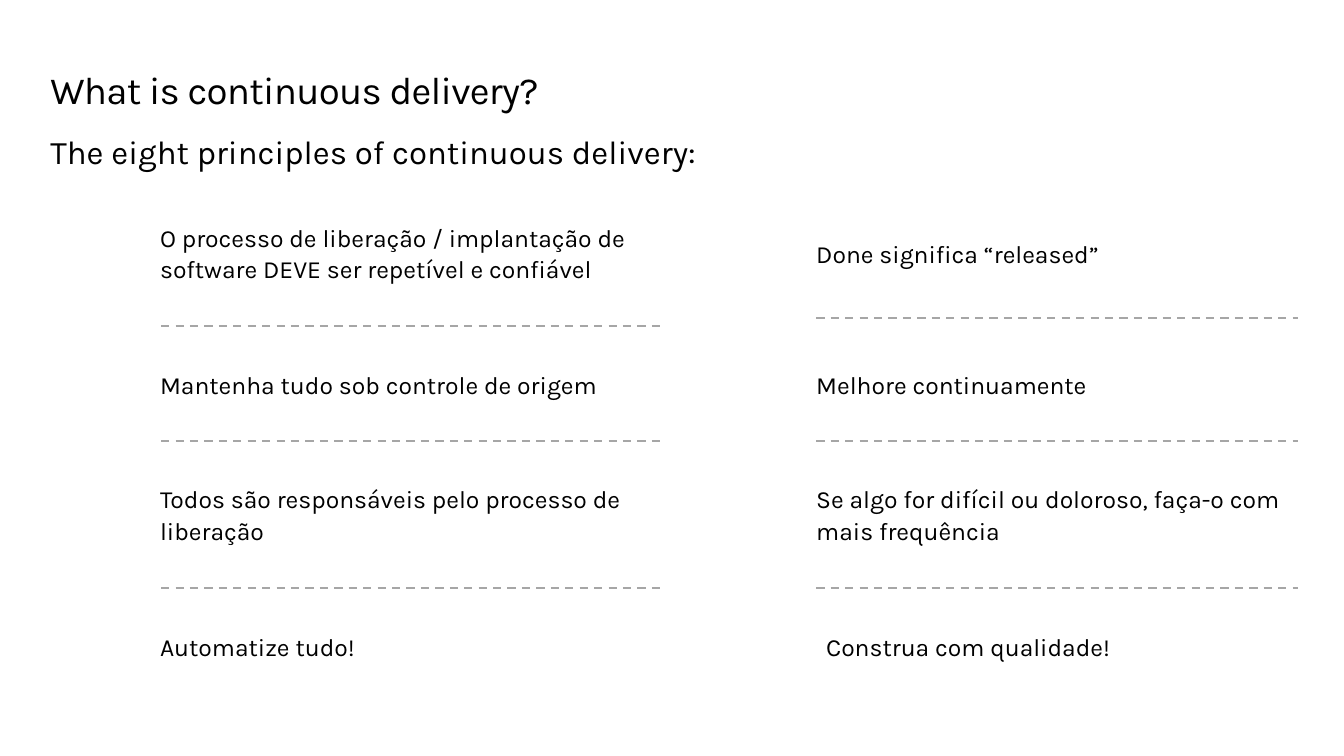
import dataclasses

import lxml.etree
import pptx
import pptx.dml.color
import pptx.enum.dml
import pptx.enum.shapes
import pptx.enum.text
import pptx.oxml.ns
import pptx.util

Inches = pptx.util.Inches
Pt = pptx.util.Pt
Anchor = pptx.enum.text.MSO_ANCHOR


@dataclasses.dataclass(frozen=True)
class Theme:
    font: str = "Karla"
    ink: str = "000000"
    rule: str = "A6A6A6"
    title_size: int = 28
    subtitle_size: int = 24
    body_size: int = 18
    rule_width: float = 1.5
    body_spacing: float = 1.07


class SlideBuilder:
    def __init__(self, slide, theme):
        self.slide = slide
        self.theme = theme

    def text(self, words, left, top, width, height, size,
             line_spacing=None, anchor=Anchor.MIDDLE, tracking=None):
        box = self.slide.shapes.add_textbox(
            Inches(left), Inches(top), Inches(width), Inches(height))
        frame = box.text_frame
        frame.word_wrap = True
        frame.vertical_anchor = anchor
        frame.margin_left = frame.margin_right = 0
        frame.margin_top = frame.margin_bottom = 0
        frame.text = words
        para = frame.paragraphs[0]
        if line_spacing is not None:
            para.line_spacing = line_spacing
        span = para.runs[0]
        span.font.name = self.theme.font
        span.font.size = Pt(size)
        span.font.color.rgb = pptx.dml.color.RGBColor.from_string(self.theme.ink)
        if tracking is not None:
            span.font._element.set("spc", str(round(tracking * 100)))

    def principle(self, words, left, top, width, height):
        self.text(words, left, top, width, height, self.theme.body_size,
                  line_spacing=self.theme.body_spacing)

    def divider(self, left, right, y):
        line = self.slide.shapes.add_connector(
            pptx.enum.shapes.MSO_CONNECTOR.STRAIGHT,
            Inches(left), Inches(y), Inches(right), Inches(y))
        line.line.color.rgb = pptx.dml.color.RGBColor.from_string(self.theme.rule)
        line.line.width = Pt(self.theme.rule_width)
        line.line.dash_style = pptx.enum.dml.MSO_LINE.DASH
        lxml.etree.SubElement(line._element.spPr,
                              pptx.oxml.ns.qn("a:effectLst"))


ONE_LINE, TWO_LINES = 0.3, 0.62

# Each column: left, width, divider start, then (text, left shift, top, height)
COLUMNS = [
    (1.62, 5.07, 1.63, [
        ("O processo de liberação / implantação de software DEVE ser "
         "repetível e confiável", 0, 2.24, TWO_LINES),
        ("Mantenha tudo sob controle de origem", 0, 3.73, ONE_LINE),
        ("Todos são responsáveis pelo processo de liberação",
         0, 4.89, TWO_LINES),
        ("Automatize tudo!", 0, 6.38, ONE_LINE),
    ], (3.3, 4.46, 5.95)),
    (8.26, 4.87, 8.26, [
        ("Done significa “released”", 0, 2.41, ONE_LINE),
        ("Melhore continuamente", 0, 3.73, ONE_LINE),
        ("Se algo for difícil ou doloroso, faça-o com mais frequência",
         0, 4.89, TWO_LINES),
        ("Construa com qualidade!", 0.1, 6.38, ONE_LINE),
    ], (3.22, 4.46, 5.95)),
]


def main():
    deck = pptx.Presentation()
    deck.slide_width = Inches(13.6)
    deck.slide_height = Inches(7.65)
    theme = Theme()
    page = SlideBuilder(deck.slides.add_slide(deck.slide_layouts[6]), theme)

    # Headings
    page.text("What is continuous delivery?", 0.51, 0.69, 12.61, 0.45,
              theme.title_size, line_spacing=Pt(32), anchor=Anchor.TOP,
              tracking=-0.5)
    page.text("The eight principles of continuous delivery:",
              0.51, 1.33, 7.61, 0.4, theme.subtitle_size)

    # Two columns of principles with dashed dividers between them
    for left, width, rule_left, principles, dividers in COLUMNS:
        for words, shift, top, height in principles:
            page.principle(words, left + shift, top, width, height)
        for y in dividers:
            page.divider(rule_left, left + width, y)

    deck.save("out.pptx")


if __name__ == "__main__":
    main()
